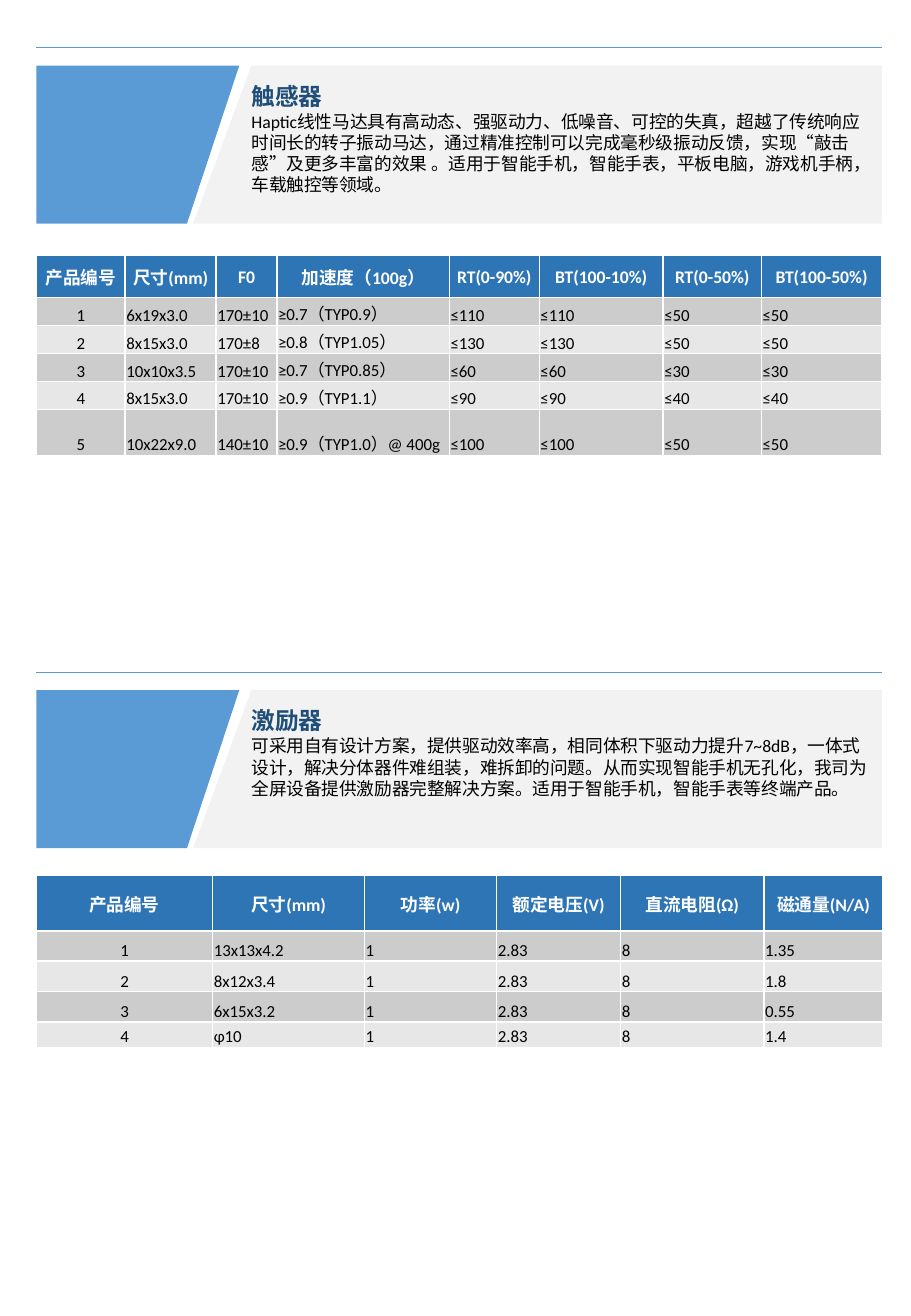
from lxml import etree
from pptx import Presentation
from pptx.dml.color import RGBColor
from pptx.enum.shapes import MSO_CONNECTOR
from pptx.enum.text import MSO_ANCHOR, MSO_AUTO_SIZE, PP_ALIGN
from pptx.oxml.ns import qn
from pptx.util import Inches, Pt

STRAIGHT = MSO_CONNECTOR.STRAIGHT
TOP, MIDDLE, BOTTOM = MSO_ANCHOR.TOP, MSO_ANCHOR.MIDDLE, MSO_ANCHOR.BOTTOM
LEFT, CENTER = PP_ALIGN.LEFT, PP_ALIGN.CENTER
NO_AUTOFIT = MSO_AUTO_SIZE.NONE
COMPARISON_LAYOUT = 4

LEFT_EDGE, RIGHT_EDGE = 0.3, 7.26
TEXT_LEFT = 1.97
BANNER_HEIGHT = 1.3


def color(value):
    return RGBColor.from_string(value)


class ProductSheet:
    font_name = "Calibri"
    accent, panel, heading_color = "5B9BD5", "F2F2F2", "1F4E79"
    header_fill, band_fills = "2E75B6", ("CCCCCC", "E7E7E7")
    white, black = "FFFFFF", "000000"

    def __init__(self, slide):
        self.slide = slide
        self.placeholders = {
            shape.placeholder_format.idx: shape for shape in slide.placeholders
        }

    def style(self, paragraph, size, font_color, bold=False, alignment=LEFT):
        paragraph.alignment = alignment
        font = paragraph.font
        font.name = self.font_name
        font.size = Pt(size)
        font.bold = bold
        font.color.rgb = color(font_color)

    def rule(self, top):
        line = self.slide.shapes.add_connector(
            STRAIGHT, Inches(LEFT_EDGE), Inches(top), Inches(RIGHT_EDGE), Inches(top))
        line.line.color.rgb = color(self.accent)
        line.line.width = Pt(0.5)
        etree.SubElement(line._element.spPr, qn("a:effectLst"))

    def polygon(self, points, fill):
        corners = [(Inches(x), Inches(y)) for x, y in points]
        builder = self.slide.shapes.build_freeform(*corners[0])
        builder.add_line_segments(corners[1:], close=True)
        shape = builder.convert_to_shape()
        shape.shadow.inherit = False
        shape.fill.solid()
        shape.fill.fore_color.rgb = color(fill)
        shape.line.fill.background()

    def banner(self, top):
        bottom = top + BANNER_HEIGHT
        self.polygon([(2.07, top), (RIGHT_EDGE, top),
                      (RIGHT_EDGE, bottom), (1.59, bottom)], self.panel)
        self.polygon([(LEFT_EDGE, top), (TEXT_LEFT, top),
                      (1.54, bottom), (LEFT_EDGE, bottom)], self.accent)

    def text(self, index, content, top, height, size, font_color, bold=False):
        shape = self.placeholders[index]
        shape.left, shape.top = Inches(TEXT_LEFT), Inches(top)
        shape.width, shape.height = Inches(RIGHT_EDGE - TEXT_LEFT), Inches(height)
        self.slide.shapes._spTree.append(shape._element)
        frame = shape.text_frame
        frame.word_wrap = True
        frame.auto_size = NO_AUTOFIT
        frame.vertical_anchor = TOP
        frame.margin_left = frame.margin_right = Inches(0.1)
        frame.margin_top = frame.margin_bottom = 0
        frame.text = content
        paragraph = frame.paragraphs[0]
        properties = paragraph._p.get_or_add_pPr()
        properties.set("marL", "0")
        properties.set("indent", "0")
        etree.SubElement(properties, qn("a:buNone"))
        paragraph.space_before = Pt(0)
        self.style(paragraph, size, font_color, bold)

    def section(self, top, heading_index, heading, body_index, description):
        self.rule(top)
        self.banner(top + 0.15)
        self.text(heading_index, heading, top + 0.28, 0.24, 14, self.heading_color, True)
        self.text(body_index, description, top + 0.52, 0.8, 10.5, self.black)

    def borders(self, cell):
        properties = cell._tc.get_or_add_tcPr()
        for side in ("lnL", "lnR", "lnT", "lnB"):
            line = etree.SubElement(properties, qn(f"a:{side}"), w=str(Pt(1)))
            fill = etree.SubElement(line, qn("a:solidFill"))
            etree.SubElement(fill, qn("a:srgbClr"), val=self.white)

    def cell(self, cell, content, row, column):
        header = row == 0
        cell.margin_left = cell.margin_right = cell.margin_top = Inches(0.01)
        cell.margin_bottom = 0
        cell.vertical_anchor = MIDDLE if header else BOTTOM
        self.borders(cell)
        cell.fill.solid()
        cell.fill.fore_color.rgb = color(
            self.header_fill if header else self.band_fills[(row - 1) % 2])
        cell.text = content
        self.style(cell.text_frame.paragraphs[0],
                   10.5 if header else 10,
                   self.white if header else self.black,
                   header,
                   CENTER if header or column == 0 else LEFT)

    def table(self, top, widths, heights, records):
        table = self.slide.shapes.add_table(
            len(heights), len(widths), Inches(LEFT_EDGE), Inches(top),
            Inches(sum(widths)), Inches(sum(heights))).table
        for column, width in zip(table.columns, widths):
            column.width = Inches(width)
        for row, height in zip(table.rows, heights):
            row.height = Inches(height)
        for row, record in enumerate(records):
            for column, content in enumerate(record):
                self.cell(table.cell(row, column), content, row, column)

    def remove_empty_placeholders(self):
        for shape in self.placeholders.values():
            if not shape.text_frame.text:
                shape._element.getparent().remove(shape._element)


HAPTIC_TEXT = (
    "Haptic线性马达具有高动态、强驱动力、低噪音、可控的失真，超越了传统响应时间长的转子振动马达，"
    "通过精准控制可以完成毫秒级振动反馈，实现“敲击感”及更多丰富的效果 。"
    "适用于智能手机，智能手表，平板电脑，游戏机手柄，车载触控等领域。")
EXCITER_TEXT = (
    "可采用自有设计方案，提供驱动效率高，相同体积下驱动力提升7~8dB，一体式设计，"
    "解决分体器件难组装，难拆卸的问题。从而实现智能手机无孔化，我司"
    "为全屏设备提供激励器完整解决方案。适用于智能手机，智能手表等终端产品。")

HAPTIC_RECORDS = [
    ("产品编号", "尺寸(mm)", "F0", "加速度（100g）",
     "RT(0-90%)", "BT(100-10%)", "RT(0-50%)", "BT(100-50%)"),
    ("1", "6x19x3.0", "170±10", "≥0.7（TYP0.9）", "≤110", "≤110", "≤50", "≤50"),
    ("2", "8x15x3.0", "170±8", "≥0.8（TYP1.05）", "≤130", "≤130", "≤50", "≤50"),
    ("3", "10x10x3.5", "170±10", "≥0.7（TYP0.85）", "≤60", "≤60", "≤30", "≤30"),
    ("4", "8x15x3.0", "170±10", "≥0.9（TYP1.1）", "≤90", "≤90", "≤40", "≤40"),
    ("5", "10x22x9.0", "140±10", "≥0.9（TYP1.0）@ 400g", "≤100", "≤100", "≤50", "≤50"),
]
EXCITER_RECORDS = [
    ("产品编号", "尺寸(mm)", "功率(w)", "额定电压(V)", "直流电阻(Ω)", "磁通量(N/A)"),
    ("1", "13x13x4.2", "1", "2.83", "8", "1.35"),
    ("2", "8x12x3.4", "1", "2.83", "8", "1.8"),
    ("3", "6x15x3.2", "1", "2.83", "8", "0.55"),
    ("4", "φ10", "1", "2.83", "8", "1.4"),
]


def main():
    presentation = Presentation()
    presentation.slide_width = Inches(7.5)
    presentation.slide_height = Inches(10.83)
    layout = presentation.slide_layouts[COMPARISON_LAYOUT]
    sheet = ProductSheet(presentation.slides.add_slide(layout))
    sheet.section(0.39, 0, "触感器", 2, HAPTIC_TEXT)
    sheet.table(2.1, [0.73, 0.75, 0.5, 1.42, 0.74, 1.02, 0.81, 0.99],
                [0.35] + [0.23] * 5, HAPTIC_RECORDS)
    sheet.section(5.53, 3, "激励器", 4, EXCITER_TEXT)
    sheet.table(7.2, [1.45, 1.25, 1.09, 1.02, 1.18, 0.98],
                [0.46] + [0.25] * 3 + [0.21], EXCITER_RECORDS)
    sheet.remove_empty_placeholders()
    presentation.save("out.pptx")


if __name__ == "__main__":
    main()
